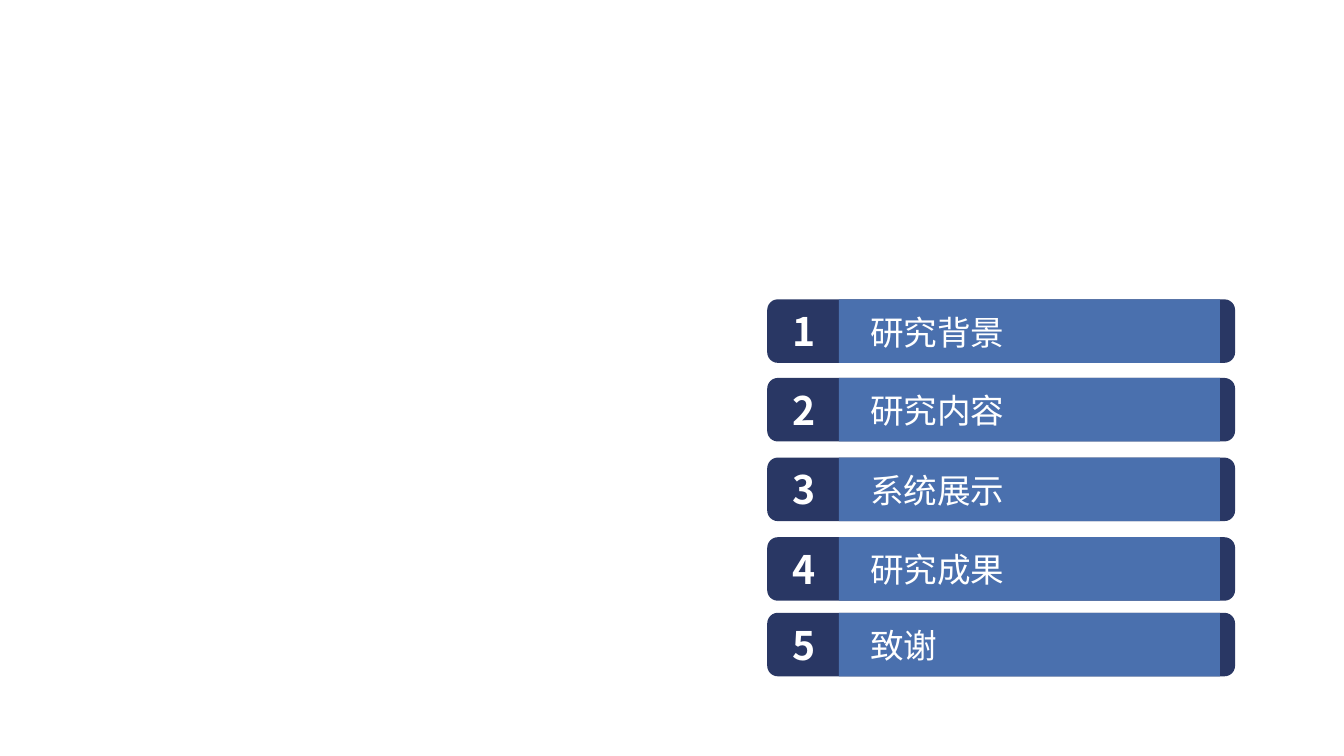
from dataclasses import dataclass

from lxml import etree
from pptx import Presentation
from pptx import util as u
from pptx.dml.color import RGBColor
from pptx.enum import shapes, text
from pptx.oxml.ns import qn

COLORS = {"navy": "293764", "blue": "4A70AE", "white": "FFFFFF"}
FONT = "Noto Sans CJK SC"
BAR_HEIGHT = 0.63


@dataclass
class Chapter:
    title: str
    top: float
    title_width: float


# Agenda entries, from top to bottom
CHAPTERS = [
    Chapter("研究背景", 2.97, 2.54),
    Chapter("研究内容", 3.75, 2.54),
    Chapter("系统展示", 4.54, 3.55),
    Chapter("研究成果", 5.33, 3.48),
    Chapter("致谢", 6.08, 3.48),
]


def add_bar(slide, preset, left: float, top: float, width: float, color: str) -> None:
    bar = slide.shapes.add_shape(
        preset, u.Inches(left), u.Inches(top), u.Inches(width), u.Inches(BAR_HEIGHT)
    )
    bar.shadow.inherit = False
    bar.fill.solid()
    bar.fill.fore_color.rgb = RGBColor.from_string(COLORS[color])
    bar.line.fill.background()


def add_text(slide, words: str, left: float, top: float, width: float, height: float, *,
             size: int, bold: bool = False, align=text.PP_ALIGN.LEFT,
             inset_x: float = 0.1, inset_y: float = 0.05) -> None:
    box = slide.shapes.add_textbox(
        u.Inches(left), u.Inches(top), u.Inches(width), u.Inches(height)
    )
    frame = box.text_frame
    frame.word_wrap = True
    frame.auto_size = text.MSO_AUTO_SIZE.SHAPE_TO_FIT_TEXT
    frame.margin_left = frame.margin_right = u.Inches(inset_x)
    frame.margin_top = frame.margin_bottom = u.Inches(inset_y)
    paragraph = frame.paragraphs[0]
    paragraph.alignment = align
    run = paragraph.add_run()
    run.text = words
    run.font.size = u.Pt(size)
    run.font.bold = bold
    run.font.color.rgb = RGBColor.from_string(COLORS["white"])
    run.font.name = FONT
    # Chinese characters take the East Asian typeface
    etree.SubElement(run.font._element, qn("a:ea"), typeface=FONT)


def add_chapter(slide, number: int, chapter: Chapter) -> None:
    # Rounded base with the title band over it
    add_bar(slide, shapes.MSO_SHAPE.ROUNDED_RECTANGLE, 7.61, chapter.top, 4.64, "navy")
    add_bar(slide, shapes.MSO_SHAPE.RECTANGLE, 8.32, chapter.top, 3.78, "blue")
    # Number and title
    add_text(slide, str(number), 7.76, chapter.top + 0.03, 0.39, 0.57,
             size=28, bold=True, align=text.PP_ALIGN.CENTER)
    add_text(slide, chapter.title, 8.56, chapter.top + 0.08, chapter.title_width, 0.48,
             size=24, inset_x=0.07, inset_y=0.04)


def main() -> None:
    deck = Presentation()
    deck.slide_width, deck.slide_height = u.Inches(13.33), u.Inches(7.5)
    agenda = deck.slides.add_slide(deck.slide_layouts[6])
    for number, chapter in enumerate(CHAPTERS, start=1):
        add_chapter(agenda, number, chapter)
    deck.save("out.pptx")


if __name__ == "__main__":
    main()
